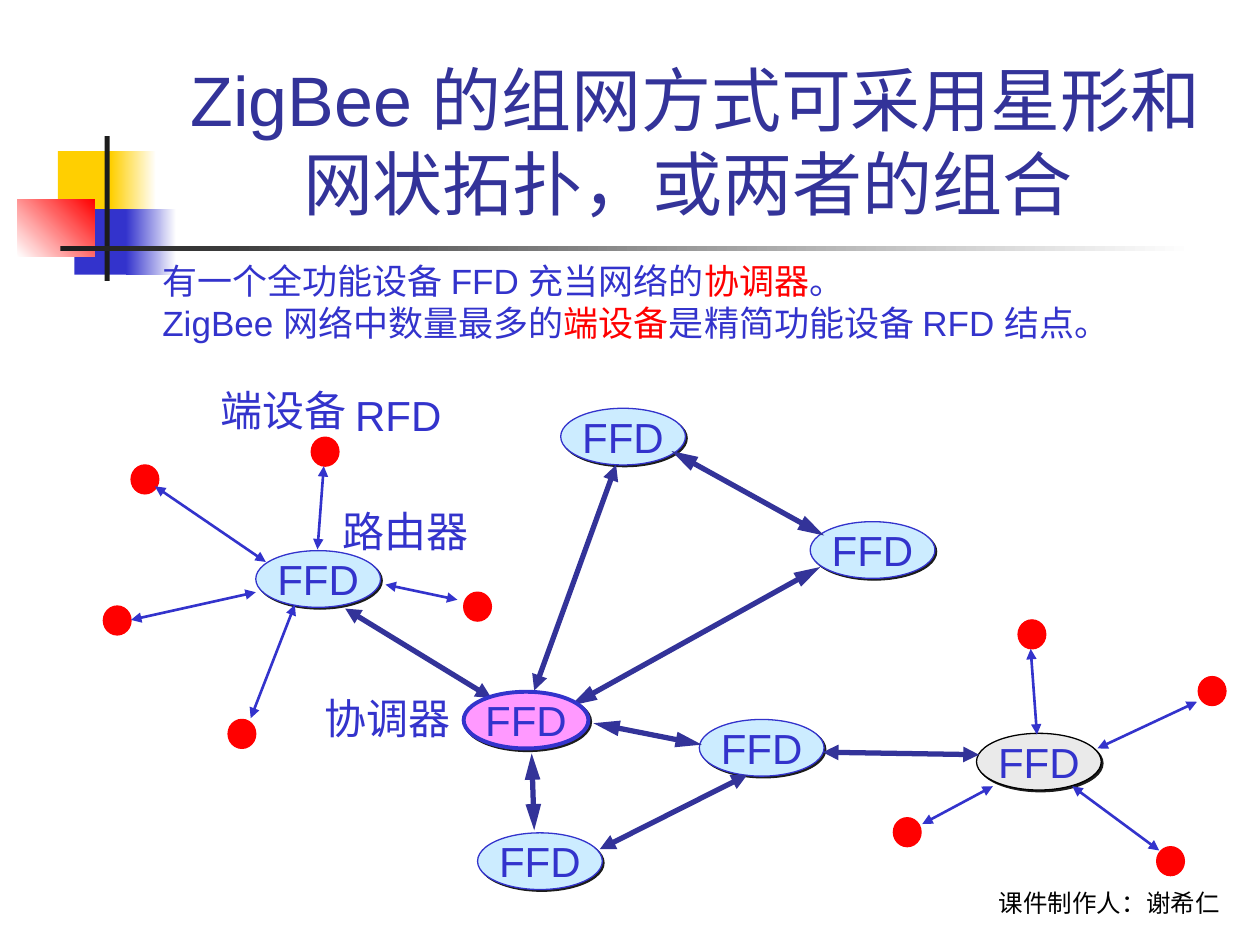
from typing import NamedTuple

from lxml import etree
from pptx import Presentation
from pptx import util as u
from pptx.dml.color import RGBColor
from pptx.enum import shapes, text
from pptx.oxml import ns

SCALE = 9144
BLUE, NAVY, RED, BLACK, DARK = "3333CC", "333399", "FF0000", "000000", "1C1C1C"
YELLOW, WHITE, SKY, GREY, PINK = "FFCF01", "FFFFFF", "CCECFF", "EAEAEA", "FF99FF"


class Band(NamedTuple):
    left: int
    top: int
    width: int
    height: int
    start: str
    end: str = ""
    angle: int = 0


class Node(NamedTuple):
    left: int
    top: int
    fill: str = SKY
    line: str = BLUE
    weight: float = 0.75


class Arrow(NamedTuple):
    x1: int
    y1: int
    x2: int
    y2: int
    head_length: str = "med"


class Span(NamedTuple):
    words: str
    color: str = BLUE
    font: str = "Arial"


class Label(NamedTuple):
    left: int
    top: int
    width: int
    height: int
    paras: list
    size: int = 24


BANDS = [
    Band(46, 120, 48, 52, YELLOW),
    Band(88, 120, 36, 52, YELLOW, WHITE),
    Band(59, 166, 46, 52, BLUE),
    Band(100, 166, 40, 52, BLUE, WHITE),
    Band(14, 158, 61, 46, WHITE, RED, 45),
    Band(83, 108, 4, 115, DARK),
    Band(48, 195, 900, 4, DARK, WHITE),
]
END_DEVICES = [(247, 347), (918, 672), (709, 649), (951, 537), (808, 492),
               (104, 369), (82, 481), (181, 571), (368, 470)]
ROUTERS = [Node(203, 437), Node(379, 661), Node(643, 414), Node(445, 324),
           Node(775, 582, GREY, BLACK), Node(555, 571)]
COORDINATOR = Node(368, 549, PINK, BLUE, 2.25)
MESH_LINKS = [
    Arrow(489, 369, 424, 548), Arrow(274, 483, 390, 554),
    Arrow(533, 358, 654, 425, "lg"), Arrow(651, 450, 453, 560, "lg"),
    Arrow(422, 598, 424, 659, "lg"), Arrow(557, 591, 471, 574, "lg"),
    Arrow(777, 599, 653, 597), Arrow(593, 615, 476, 674),
]
STAR_LINKS = [
    Arrow(123, 386, 211, 446), Arrow(306, 464, 363, 476),
    Arrow(257, 370, 252, 436), Arrow(104, 492, 203, 470),
    Arrow(950, 557, 871, 594), Arrow(818, 515, 823, 583),
    Arrow(234, 480, 199, 570), Arrow(851, 624, 920, 675),
    Arrow(788, 624, 732, 654),
]
LABELS = [
    Label(272, 304, 92, 50, [[Span("RFD")]]),
    Label(165, 300, 120, 50, [[Span("端设备")]]),
    Label(262, 396, 120, 50, [[Span("路由器")]]),
    Label(248, 545, 120, 50, [[Span("协调器")]]),
    Label(119, 201, 798, 77, [
        [Span("有一个全功能设备 FFD 充当"), Span("网络的", BLUE, "Karla"),
         Span("协调器", RED, "Karla"), Span("。", BLUE, "Karla")],
        [Span("ZigBee 网络中数量最多的"), Span("端设备", RED),
         Span("是精简功能设备 RFD 结点。")],
    ], 20),
]
CREDIT = Label(770, 683, 208, 50, [[Span("课件制作人：谢希仁", BLACK, "Karla")]], 14)


def px(*lengths: int) -> list:
    """Turn px lengths into EMU."""
    return [u.Emu(length * SCALE) for length in lengths]


def rgb(color: str) -> RGBColor:
    """Turn a hex string into a colour."""
    return RGBColor.from_string(color)


def style_run(run, size: int, color: str, font: str) -> None:
    """Set the size, colour and font of a run."""
    run.font.size = u.Pt(size)
    run.font.name = font
    run.font.color.rgb = rgb(color)


def draw_band(page, band: Band) -> None:
    """Draw one plain or graded rectangle of the decoration."""
    box = page.shapes.add_shape(shapes.MSO_SHAPE.RECTANGLE, *px(*band[:4]))
    box.shadow.inherit = False
    box.line.fill.background()
    if not band.end:
        box.fill.solid()
        box.fill.fore_color.rgb = rgb(band.start)
        return
    box.fill.gradient()
    box.fill.gradient_angle = band.angle
    for stop, color, position in zip(box.fill.gradient_stops, (band.start, band.end), (0, 1)):
        stop.color.rgb = rgb(color)
        stop.position = position


def draw_ellipse(page, left: int, top: int, width: int, height: int,
                 fill: str, line: str, weight: float):
    """Draw a filled and outlined ellipse without shadow."""
    oval = page.shapes.add_shape(shapes.MSO_SHAPE.OVAL, *px(left, top, width, height))
    oval.shadow.inherit = False
    oval.fill.solid()
    oval.fill.fore_color.rgb = rgb(fill)
    oval.line.color.rgb = rgb(line)
    oval.line.width = u.Pt(weight)
    return oval


def draw_node(page, node: Node) -> None:
    """Draw an FFD ellipse with a hard shadow."""
    oval = draw_ellipse(page, node.left, node.top, 99, 45, *node[2:])
    effects = oval.element.spPr.find(ns.qn("a:effectLst"))
    shadow = etree.SubElement(effects, ns.qn("a:outerShdw"), dist="17780", dir="2700000",
                              algn="ctr", rotWithShape="0")
    etree.SubElement(shadow, ns.qn("a:srgbClr"), val=DARK)
    frame = oval.text_frame
    frame.word_wrap = False
    frame.vertical_anchor = text.MSO_ANCHOR.MIDDLE
    frame.text = "FFD"
    para = frame.paragraphs[0]
    para.alignment = text.PP_ALIGN.CENTER
    style_run(para.runs[0], 24, BLUE, "Arial")


def draw_arrow(page, arrow: Arrow, color: str, weight: float) -> None:
    """Draw a straight line with an arrowhead at each end."""
    link = page.shapes.add_connector(shapes.MSO_CONNECTOR.STRAIGHT, *px(*arrow[:4]))
    link.line.color.rgb = rgb(color)
    link.line.width = u.Pt(weight)
    outline = link.element.spPr.find(ns.qn("a:ln"))
    for end in ("a:headEnd", "a:tailEnd"):
        etree.SubElement(outline, ns.qn(end), type="triangle", w="med", len=arrow.head_length)
    etree.SubElement(link.element.spPr, ns.qn("a:effectLst"))


def draw_label(page, label: Label):
    """Draw a text box with coloured spans and return its frame."""
    box = page.shapes.add_textbox(*px(*label[:4]))
    frame = box.text_frame
    frame.word_wrap = False
    for index, spans in enumerate(label.paras):
        para = frame.add_paragraph() if index else frame.paragraphs[0]
        for span in spans:
            run = para.add_run()
            run.text = span.words
            style_run(run, label.size, span.color, span.font)
    return frame


def draw_title(page) -> None:
    """Place and format the title."""
    title = page.shapes.title
    title.left, title.top, title.width, title.height = px(126, 23, 852, 160)
    frame = title.text_frame
    frame.text = "ZigBee 的组网方式可采用星形和网状拓扑，或两者的组合 "
    frame.word_wrap = True
    frame.auto_size = text.MSO_AUTO_SIZE.NONE
    frame.vertical_anchor = text.MSO_ANCHOR.BOTTOM
    para = frame.paragraphs[0]
    para.alignment = text.PP_ALIGN.CENTER
    style_run(para.runs[0], 40, NAVY, "Arial")


def main() -> None:
    """Build the slide and save the deck."""
    deck = Presentation()
    deck.slide_width, deck.slide_height = px(1000, 750)
    page = deck.slides.add_slide(deck.slide_layouts[5])
    draw_title(page)
    for band in BANDS:
        draw_band(page, band)
    credit = draw_label(page, CREDIT)
    credit.word_wrap = True
    credit.vertical_anchor = text.MSO_ANCHOR.BOTTOM
    credit.paragraphs[0].alignment = text.PP_ALIGN.RIGHT
    for left, top in END_DEVICES:
        draw_ellipse(page, left, top, 22, 23, RED, RED, 0.75)
    for router in ROUTERS:
        draw_node(page, router)
    for links, color, weight in ((MESH_LINKS, NAVY, 3), (STAR_LINKS, BLUE, 1.5)):
        for arrow in links:
            draw_arrow(page, arrow, color, weight)
    draw_node(page, COORDINATOR)
    for label in LABELS:
        draw_label(page, label).auto_size = text.MSO_AUTO_SIZE.SHAPE_TO_FIT_TEXT
    deck.save("out.pptx")


if __name__ == "__main__":
    main()
